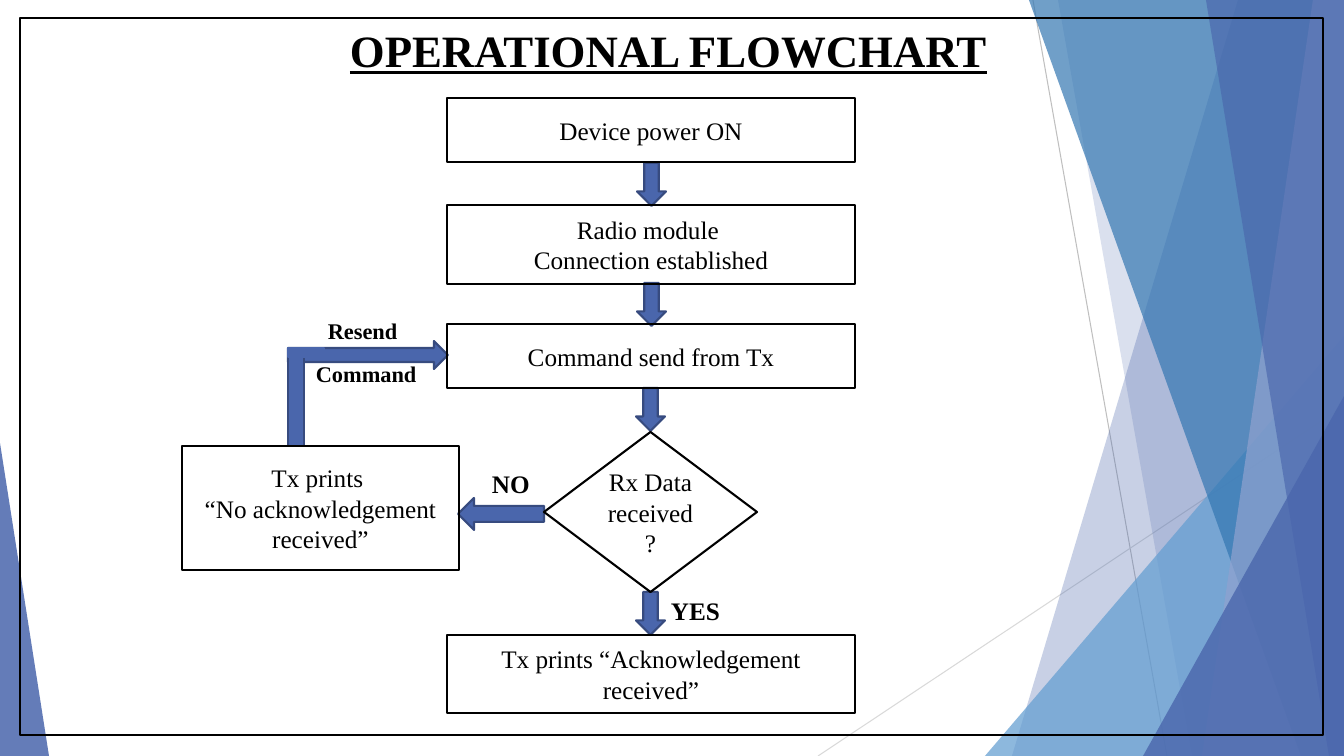
from lxml.etree import SubElement
from pptx import Presentation
from pptx.dml.color import RGBColor
from pptx.enum.shapes import MSO_CONNECTOR, MSO_SHAPE as SHP
from pptx.enum.text import MSO_ANCHOR, MSO_AUTO_SIZE, PP_ALIGN
from pptx.oxml.ns import qn
from pptx.util import Pt

PX = 12192000 / 1344
C = {"black": "000000", "blue": "4A66AC", "edge": "374B7F", "sky": "629DD1",
     "ocean": "3477B2", "pale": "90A2CF", "gray": "BFBFBF", "mist": "D9D9D9"}

prs = Presentation()
prs.slide_width, prs.slide_height = round(1344 * PX), round(756 * PX)
shapes = prs.slides.add_slide(prs.slide_layouts[6]).shapes


def paint(s, fill=None, line=None, opacity=100):
    s.shadow.inherit = False
    if fill:
        s.fill.solid()
        s.fill.fore_color.rgb = RGBColor.from_string(C[fill])
        if opacity < 100:
            color = s._element.spPr.find(qn("a:solidFill"))[0]
            SubElement(color, qn("a:alpha")).set("val", str(opacity * 1000))
    else:
        s.fill.background()
    if line:
        s.line.color.rgb = RGBColor.from_string(C[line])
        s.line.width = Pt(1.5)
    else:
        s.line.fill.background()


def write(tf, lines, size=18, bold=False, underline=None, align=PP_ALIGN.CENTER):
    for i, text in enumerate(lines):
        p = tf.paragraphs[0] if i == 0 else tf.add_paragraph()
        p.alignment = align
        r = p.add_run()
        r.text = text
        r.font.name, r.font.size = "Times New Roman", Pt(size)
        r.font.bold, r.font.underline = bold, underline
        r.font.color.rgb = RGBColor.from_string(C["black"])


# Thin background lines
for x1, y1, x2, y2, color in [(1033, 0, 1167, 756, "gray"),
                              (1344, 406, 818, 756, "mist")]:
    ends = [round(v * PX) for v in (x1, y1, x2, y2)]
    s = shapes.add_connector(MSO_CONNECTOR.STRAIGHT, *ends)
    s.line.color.rgb = RGBColor.from_string(C[color])
    s.line.width = Pt(0.75)
    SubElement(s._element.spPr, qn("a:effectLst"))

# Background facets: bands (top left x, bottom left x) reach the right edge,
# triangles (x, y, w, h, apex) stand on the bottom edge
facets = [((1238, 1012), "blue", 30), ((1058, 1192), "blue", 20),
          ((985, 336, 359, 420, 1), "sky", 72),
          ((1029, 1301), "ocean", 70), ((1313, 1202), "pale", 70),
          ((1206, 1329), "blue", 65),
          ((1143, 396, 201, 360, 1), "blue", 80),
          ((0, 443, 49, 313, 0), "blue", 85)]
for geometry, color, opacity in facets:
    if len(geometry) == 2:
        top, bottom = geometry
        band = shapes.build_freeform(top, 0, scale=PX)
        band.add_line_segments([(1344, 0), (1344, 756), (bottom, 756)])
        s = band.convert_to_shape()
    else:
        *box, apex = geometry
        s = shapes.add_shape(SHP.ISOSCELES_TRIANGLE, *[round(v * PX) for v in box])
        s.adjustments[0] = apex
    paint(s, color, opacity=opacity)

# Frame
s = shapes.add_shape(SHP.RECTANGLE, *[round(v * PX) for v in (20, 18, 1303, 717)])
paint(s, line="black")

# Block arrows, with the resend elbow made of two bars
arrows = [(SHP.DOWN_ARROW, 637, 163, 29, 43), (SHP.DOWN_ARROW, 637, 283, 29, 43),
          (SHP.DOWN_ARROW, 636, 388, 29, 43), (SHP.DOWN_ARROW, 636, 592, 29, 43),
          (SHP.LEFT_ARROW, 458, 498, 86, 32), (SHP.RIGHT_ARROW, 288, 341, 160, 28),
          (SHP.RECTANGLE, 288, 349, 16, 97), (SHP.RECTANGLE, 288, 348, 36, 9)]
for kind, *box in arrows:
    s = shapes.add_shape(kind, *[round(v * PX) for v in box])
    paint(s, "blue", "edge")
s.line.color.rgb = RGBColor.from_string(C["blue"])  # elbow corner has no dark edge

# Steps and decision
steps = [(SHP.RECTANGLE, 447, 98, 408, 64, ["Device power ON"]),
         (SHP.RECTANGLE, 447, 205, 408, 79, ["Radio module ", "Connection established"]),
         (SHP.RECTANGLE, 447, 324, 408, 64, ["Command send from Tx"]),
         (SHP.RECTANGLE, 447, 635, 408, 78, ["Tx prints “Acknowledgement received”"]),
         (SHP.RECTANGLE, 182, 446, 277, 124,
          ["Tx prints ", "“No acknowledgement received”"]),
         (SHP.FLOWCHART_DECISION, 544, 432, 213, 160, ["Rx Data received ?"])]
for kind, *box, lines in steps:
    s = shapes.add_shape(kind, *[round(v * PX) for v in box])
    paint(s, line="black")
    s.text_frame.vertical_anchor = MSO_ANCHOR.MIDDLE
    write(s.text_frame, lines)

# Title and branch labels
labels = [(340, 18, 663, 64, "OPERATIONAL FLOWCHART", 32, True),
          (661, 590, 70, 40, "YES", 18, None), (482, 463, 58, 40, "NO", 18, None),
          (318, 312, 97, 37, "Resend", 16, None),
          (306, 355, 122, 37, "Command", 16, None)]
for *box, text, size, underline in labels:
    tf = shapes.add_textbox(*[round(v * PX) for v in box]).text_frame
    tf.word_wrap = False
    tf.auto_size = MSO_AUTO_SIZE.SHAPE_TO_FIT_TEXT
    write(tf, [text], size, True, underline, PP_ALIGN.LEFT)

prs.save("out.pptx")
